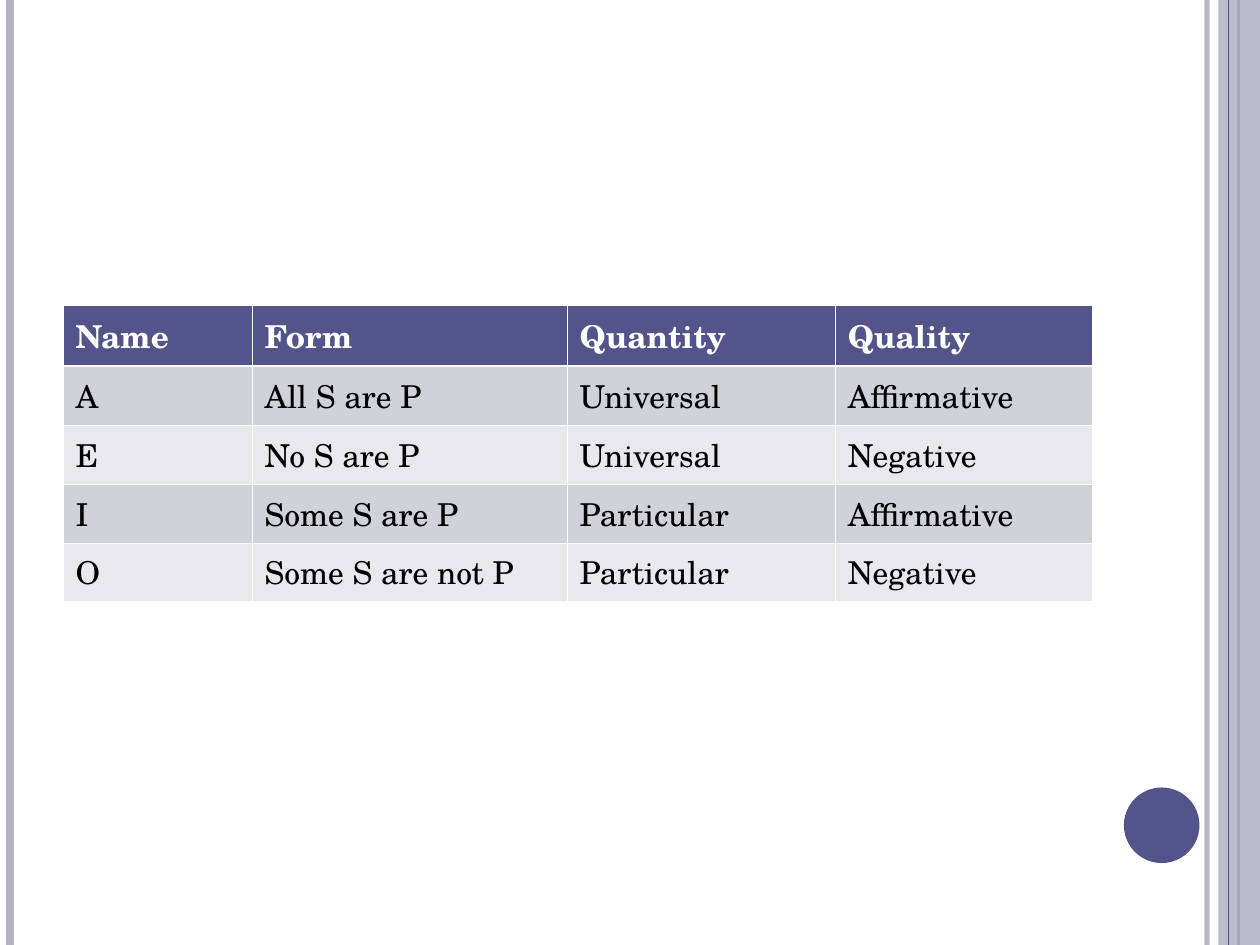
from lxml.etree import SubElement
from pptx import Presentation
from pptx.dml.color import RGBColor
from pptx.enum.shapes import MSO_CONNECTOR as Connector, MSO_SHAPE as Shape
from pptx.oxml.ns import qn
from pptx.util import Inches, Pt

FONT = "TeX Gyre Schola"
INDIGO, LILAC, WHITE, BLACK = "53548A", "B3B3C4", "FFFFFF", "000000"
BANDS = ["D1D1DA", "E9E9ED"]
THIN, THICK = 0.45, 1.47
COLUMN_WIDTHS = [1.5, 2.5, 2.13, 2.04]
ROW_HEIGHT = 0.41
PROPOSITIONS = [
    ["Name", "Form", "Quantity", "Quality"],
    ["A", "All S are P", "Universal", "Affirmative"],
    ["E", "No S are P", "Universal", "Negative"],
    ["I", "Some S are P", "Particular", "Affirmative"],
    ["O", "Some S are not P", "Particular", "Negative"],
]


def rgb(color):
    return RGBColor.from_string(color)


def set_opacity(properties, percent):
    for color in properties.iter(qn("a:srgbClr")):
        SubElement(color, qn("a:alpha"), val=str(percent * 1000))


def add_stripe(slide, x, color, width, opacity=100):
    stripe = slide.shapes.add_connector(
        Connector.STRAIGHT, Inches(x), Inches(0), Inches(x), Inches(7.5))
    stripe.line.color.rgb = rgb(color)
    stripe.line.width = Pt(width)
    properties = stripe.line._get_or_add_ln().getparent()
    if opacity < 100:
        set_opacity(properties, opacity)
    SubElement(properties, qn("a:effectLst"))


def add_block(slide, kind, left, top, width, height, color, opacity=100):
    block = slide.shapes.add_shape(
        kind, Inches(left), Inches(top), Inches(width), Inches(height))
    block.shadow.inherit = False
    block.fill.solid()
    block.fill.fore_color.rgb = rgb(color)
    block.line.fill.background()
    if opacity < 100:
        set_opacity(block.fill._xPr, opacity)


def set_borders(cell, top, bottom):
    properties = cell._tc.get_or_add_tcPr()
    for side, width in {"L": THIN, "R": THIN, "T": top, "B": bottom}.items():
        border = SubElement(properties, qn(f"a:ln{side}"), w=str(Pt(width)))
        fill = SubElement(border, qn("a:solidFill"))
        SubElement(fill, qn("a:srgbClr"), val=WHITE)


def fill_cell(cell, text, row):
    header = row == 0
    set_borders(cell, THICK if row == 1 else THIN, THICK if header else THIN)
    cell.fill.solid()
    cell.fill.fore_color.rgb = rgb(INDIGO if header else BANDS[(row - 1) % 2])
    run = cell.text_frame.paragraphs[0].add_run()
    run.text = text
    run.font.name = FONT
    run.font.size = Pt(18)
    run.font.bold = header
    run.font.color.rgb = rgb(WHITE if header else BLACK)


def add_proposition_table(slide):
    row_count = len(PROPOSITIONS)
    table = slide.shapes.add_table(
        row_count, len(COLUMN_WIDTHS), Inches(0.5), Inches(2.42),
        Inches(sum(COLUMN_WIDTHS)), Inches(ROW_HEIGHT * row_count)).table
    for column, width in zip(table.columns, COLUMN_WIDTHS):
        column.width = Inches(width)
    for row, texts in enumerate(PROPOSITIONS):
        for column, text in enumerate(texts):
            fill_cell(table.cell(row, column), text, row)


def main():
    deck = Presentation()
    deck.slide_width, deck.slide_height = Inches(10), Inches(7.5)
    slide = deck.slides.add_slide(deck.slide_layouts[6])
    add_stripe(slide, 9.58, LILAC, 3, 93)
    add_stripe(slide, 0.08, LILAC, 4.5)
    add_stripe(slide, 9.83, INDIGO, 1.5)
    add_block(slide, Shape.RECTANGLE, 9.67, 0, 0.33, 7.5, LILAC, 87)
    add_stripe(slide, 9.75, INDIGO, 0.75)
    add_block(slide, Shape.OVAL, 8.92, 6.25, 0.6, 0.6, INDIGO)
    add_proposition_table(slide)
    deck.save("out.pptx")


if __name__ == "__main__":
    main()
